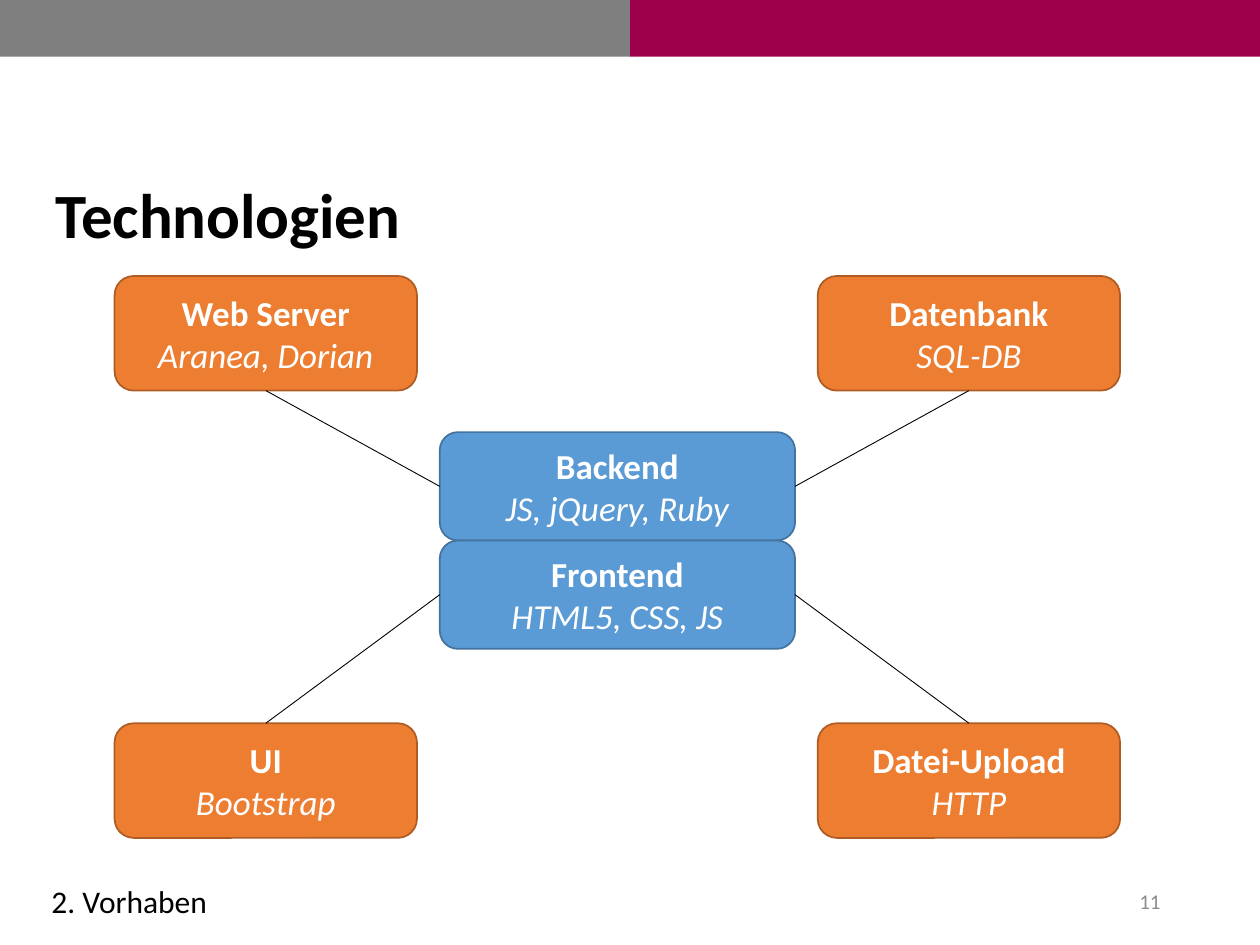
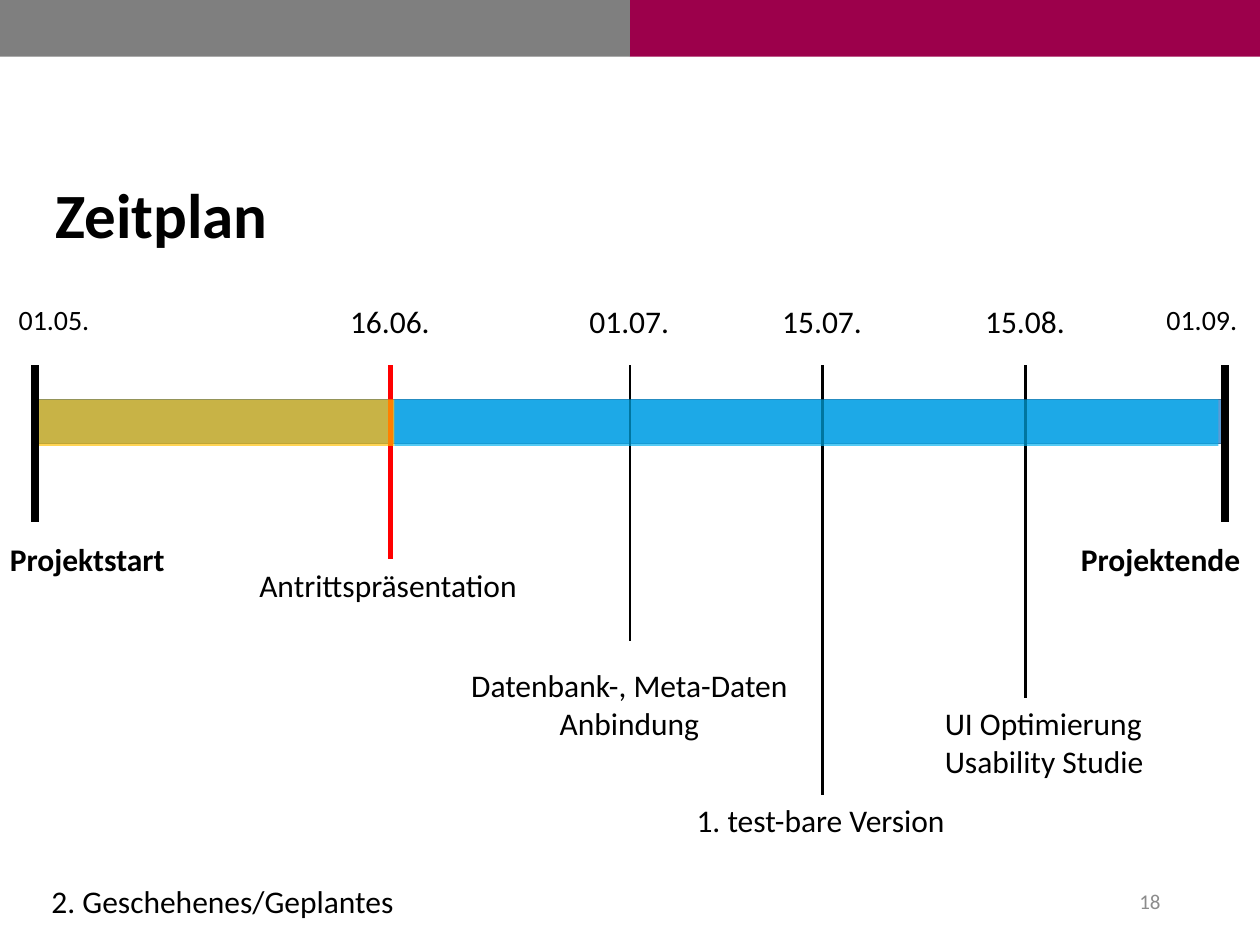
from lxml.etree import SubElement
from pptx import Presentation
from pptx.dml.color import RGBColor
from pptx.enum.shapes import MSO_CONNECTOR, MSO_SHAPE as Shape
from pptx.enum.text import MSO_ANCHOR as Anchor, MSO_AUTO_SIZE as AutoSize, PP_ALIGN as Align
from pptx.oxml.ns import qn
from pptx.util import Inches, Pt

BLACK = RGBColor(0x00, 0x00, 0x00)
WHITE = RGBColor(0xFF, 0xFF, 0xFF)
GREY = RGBColor(0x7F, 0x7F, 0x7F)
NUMBER_GREY = RGBColor(0x8C, 0x8C, 0x8C)
CRIMSON = RGBColor(0x9C, 0x00, 0x4B)
RED = RGBColor(0xFF, 0x00, 0x00)
BLUE = RGBColor(0x5B, 0x9B, 0xD5)
DARK_BLUE = RGBColor(0x43, 0x73, 0x9E)
ORANGE = RGBColor(0xED, 0x7D, 0x31)
DARK_ORANGE = RGBColor(0xAF, 0x5C, 0x24)
AMBER = RGBColor(0xFF, 0xC0, 0x00)
SKY = RGBColor(0x00, 0xB0, 0xF0)


class Deck:
    font = "Calibri"

    def __init__(self):
        self.presentation = Presentation()
        self.presentation.slide_width = Inches(10)
        self.presentation.slide_height = Inches(7.5)
        self.slide = None

    def start_slide(self, title, title_width, section, section_width, number):
        """Add a slide with the shared bands, title, section and page number."""
        self.slide = self.presentation.slides.add_slide(self.presentation.slide_layouts[6])
        self.box(5, 0, 5, 0.45, CRIMSON)
        self.box(0, 0, 5, 0.45, GREY)
        self.text(title, 0.34, 1.34, title_width, 0.71, size=36, bold=True)
        page = self.text(str(number), 7.06, 6.95, 2.25, size=12, color=NUMBER_GREY, align=Align.RIGHT)
        page.text_frame.vertical_anchor = Anchor.MIDDLE
        self.text(section, 0.31, 6.95, section_width)

    def style(self, paragraph, size, color, align, bold=False, italic=False):
        paragraph.alignment = align
        for run in paragraph.runs:
            font = run.font
            font.name, font.size, font.color.rgb = self.font, Pt(size), color
            font.bold, font.italic = bold, italic

    def text(self, content, left, top, width, height=0.4, size=18, color=BLACK,
             bold=False, align=Align.LEFT):
        shape = self.slide.shapes.add_textbox(Inches(left), Inches(top), Inches(width), Inches(height))
        frame = shape.text_frame
        frame.text = content
        frame.word_wrap = False
        frame.auto_size = AutoSize.SHAPE_TO_FIT_TEXT
        for paragraph in frame.paragraphs:
            self.style(paragraph, size, color, align, bold)
        return shape

    def box(self, left, top, width, height, fill, border=None, kind=Shape.RECTANGLE, opacity=None):
        shape = self.slide.shapes.add_shape(
            kind, Inches(left), Inches(top), Inches(width), Inches(height))
        shape.shadow.inherit = False
        shape.fill.solid()
        shape.fill.fore_color.rgb = fill
        if opacity is not None:
            color = shape.fill._xPr.find(qn("a:solidFill"))[0]
            SubElement(color, qn("a:alpha"), val=str(opacity * 1000))
        if border is None:
            shape.line.fill.background()
        else:
            shape.line.color.rgb = border
            shape.line.width = Pt(1)
        return shape

    def component(self, name, technologies, left, top, width, height, fill, border):
        """Draw a rounded box with a bold name above italic technologies."""
        shape = self.box(left, top, width, height, fill, border, Shape.ROUNDED_RECTANGLE)
        frame = shape.text_frame
        frame.text = f"{name}\n{technologies}"
        frame.vertical_anchor = Anchor.MIDDLE
        heading, detail = frame.paragraphs
        self.style(heading, 20, WHITE, Align.CENTER, bold=True)
        self.style(detail, 20, WHITE, Align.CENTER, italic=True)

    def line(self, start, end, width, color=BLACK):
        connector = self.slide.shapes.add_connector(
            MSO_CONNECTOR.STRAIGHT, *(Inches(value) for value in (*start, *end)))
        connector.line.color.rgb = color
        connector.line.width = Pt(width)
        SubElement(connector._element.spPr, qn("a:effectLst"))


def add_technologies(deck):
    deck.start_slide("Technologien", 2.98, "2. Vorhaben", 1.45, 11)

    core_left, core_width, core_height = 3.49, 2.82, 0.86
    backend_top = 3.43
    frontend_top = backend_top + core_height
    for name, technologies, top in (("Backend", "JS, jQuery, Ruby", backend_top),
                                    ("Frontend", "HTML5, CSS, JS", frontend_top)):
        deck.component(name, technologies, core_left, top, core_width, core_height, BLUE, DARK_BLUE)

    width, height = 2.4, 0.91
    left_column, right_column = 0.91, 6.49
    upper_row, lower_row = 2.19, 5.74
    for name, technologies, left, top in (
            ("Web Server", "Aranea, Dorian", left_column, upper_row),
            ("Datenbank", "SQL-DB", right_column, upper_row),
            ("UI", "Bootstrap", left_column, lower_row),
            ("Datei-Upload", "HTTP", right_column, lower_row)):
        deck.component(name, technologies, left, top, width, height, ORANGE, DARK_ORANGE)

    for left, core_edge in ((left_column, core_left), (right_column, core_left + core_width)):
        for outer_y, core_top in ((upper_row + height, backend_top), (lower_row, frontend_top)):
            deck.line((left + width / 2, outer_y), (core_edge, core_top + core_height / 2), 0.5)


def add_schedule(deck):
    deck.start_slide("Zeitplan", 1.91, "2. Geschehenes/Geplantes", 2.95, 18)
    start, today, end = 0.28, 3.1, 9.72
    bar_top, mark_top, date_top = 3.17, 2.9, 2.35
    deck.box(start, bar_top, end - start - 0.01, 0.35, BLUE, DARK_BLUE)

    for x, date, date_left, label, label_left, label_width in (
            (start, "01.05.", 0.05, "Projektstart", -0.02, 1.44),
            (end, "01.09.", 9.16, "Projektende", 8.48, 1.48)):
        deck.line((x, mark_top), (x, 4.14), 4.5)
        deck.text(date, date_left, date_top, 0.77, 0.37, size=16)
        deck.text(label, label_left, 4.24, label_width, bold=True)

    date_width = 0.84
    for x, date, bottom, weight, color in (
            (today, "16.06.", 4.44, 3, RED),
            (5, "01.07.", 5.09, 1.5, BLACK),
            (6.53, "15.07.", 6.31, 1.5, BLACK),
            (8.14, "15.08.", 5.54, 1.5, BLACK)):
        deck.line((x, mark_top), (x, bottom), weight, color)
        deck.text(date, x - date_width / 2, date_top, date_width)

    deck.text("Antrittspräsentation", 1.96, 4.44, 2.27)
    deck.text("Datenbank-, Meta-Daten\nAnbindung", 3.62, 5.24, 2.75, 0.71, align=Align.CENTER)
    deck.text("1. test-bare Version", 5.43, 6.31, 2.2)
    deck.text("UI Optimierung\nUsability Studie", 7.4, 5.54, 1.8, 0.71)

    for left, width, fill in ((0.31, 2.82, AMBER), (3.13, 6.54, SKY)):
        deck.box(left, bar_top, width, 0.37, fill, opacity=67)


def main():
    deck = Deck()
    add_technologies(deck)
    add_schedule(deck)
    deck.presentation.save("out.pptx")


if __name__ == "__main__":
    main()
